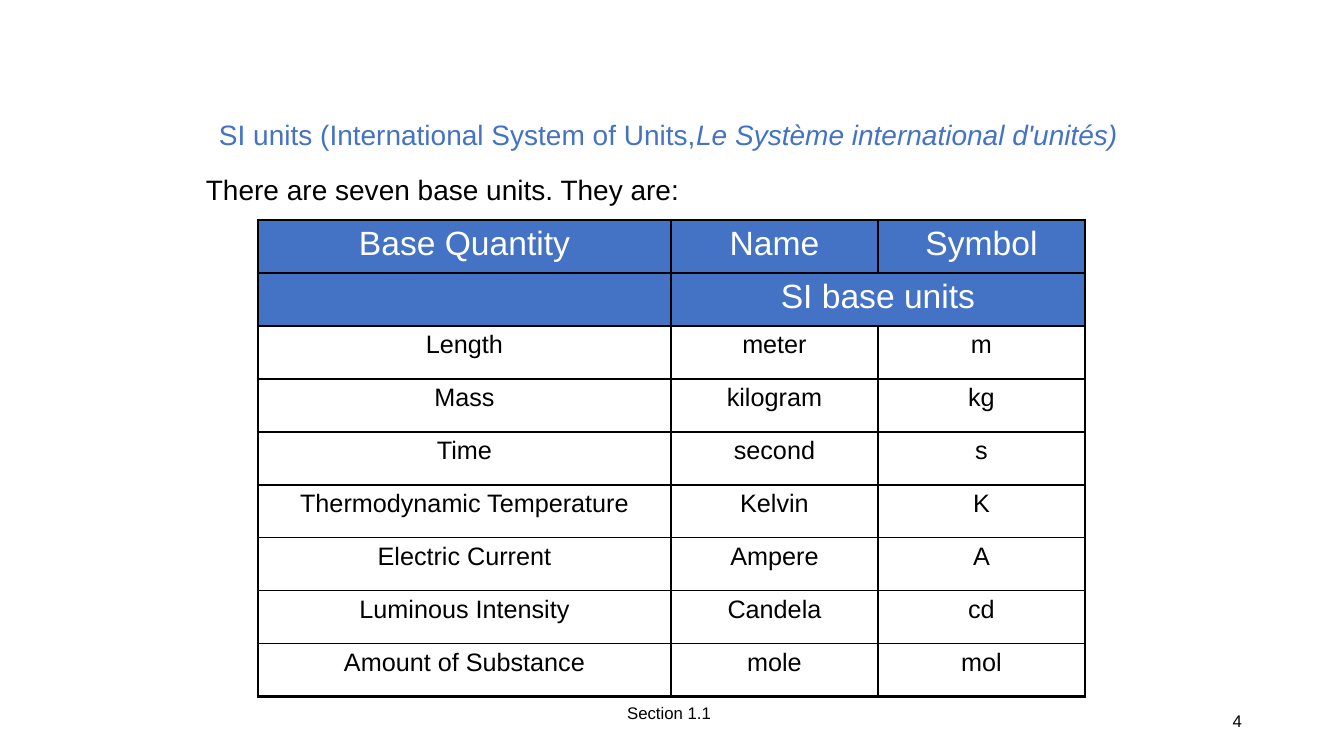
"""Build the slide that lists the seven SI base units."""
from lxml.etree import SubElement
from pptx import Presentation
from pptx.dml.color import RGBColor
from pptx.enum.text import MSO_ANCHOR, MSO_AUTO_SIZE, PP_ALIGN
from pptx.oxml.ns import qn
from pptx.util import Emu, Pt

FONT, BLACK, WHITE, BLUE = "Arial", "000000", "FFFFFF", "4472C4"
TITLE = ("SI units (International System of Units,", "Le Système international d'unités)")
TITLE_BOX = (219, 101, 907, 67)
LABELS = [
    ("Section 1.1", (562, 698, 159, 30), 12, PP_ALIGN.RIGHT, MSO_ANCHOR.TOP, True),
    ("4", (950, 701, 302, 40), 12, PP_ALIGN.RIGHT, MSO_ANCHOR.MIDDLE, True),
    ("There are seven base units. They are:", (196, 168, 497, 44), 20,
     PP_ALIGN.LEFT, MSO_ANCHOR.TOP, False),
]
HEADER_ROWS = 2
UNITS = [
    ("Base Quantity", "Name", "Symbol"),
    ("", "SI base units", ""),
    ("Length", "meter", "m"),
    ("Mass", "kilogram", "kg"),
    ("Time", "second", "s"),
    ("Thermodynamic Temperature", "Kelvin", "K"),
    ("Electric Current", "Ampere", "A"),
    ("Luminous Intensity", "Candela", "cd"),
    ("Amount of Substance", "mole", "mol"),
]
TABLE_LEFT, TABLE_TOP, ROW_HEIGHT = 258, 220, 53
COLUMN_WIDTHS = (413, 207, 207)
THIN, THICK = 1, 2.25


def px(length):
    return Emu(round(length * 914400 / 100.8))


def color(value):
    return RGBColor.from_string(value)


def style(paragraph, size, value, alignment):
    paragraph.alignment = alignment
    for run in paragraph.runs:
        run.font.name = FONT
        run.font.size = Pt(size)
        run.font.color.rgb = color(value)


def add_title(slide):
    title = slide.shapes.title
    title.left, title.top, title.width, title.height = map(px, TITLE_BOX)
    frame = title.text_frame
    frame.auto_size = MSO_AUTO_SIZE.NONE
    frame.vertical_anchor = MSO_ANCHOR.MIDDLE
    frame.margin_left = frame.margin_right = frame.margin_top = frame.margin_bottom = 0
    paragraph = frame.paragraphs[0]
    for text in TITLE:
        paragraph.add_run().text = text
    style(paragraph, 20, BLUE, PP_ALIGN.LEFT)
    paragraph.runs[1].font.italic = True


def add_label(slide, text, box, size, alignment, anchor, wrap):
    frame = slide.shapes.add_textbox(*map(px, box)).text_frame
    frame.word_wrap = wrap
    frame.vertical_anchor = anchor
    frame.text = text
    style(frame.paragraphs[0], size, BLACK, alignment)


def add_borders(cell, widths):
    properties = cell._tc.get_or_add_tcPr()
    for side, width in widths.items():
        line = SubElement(properties, qn(f"a:ln{side}"), w=str(Pt(width)))
        fill = SubElement(line, qn("a:solidFill"))
        SubElement(fill, qn("a:srgbClr"), val=BLACK)


def add_units_table(slide):
    last_row, last_column = len(UNITS) - 1, len(COLUMN_WIDTHS) - 1
    frame = slide.shapes.add_table(
        len(UNITS), len(COLUMN_WIDTHS), px(TABLE_LEFT), px(TABLE_TOP),
        px(sum(COLUMN_WIDTHS)), px(ROW_HEIGHT * len(UNITS)))
    table = frame.table
    table.first_row = table.horz_banding = False
    for column, width in zip(table.columns, COLUMN_WIDTHS):
        column.width = px(width)
    for row in table.rows:
        row.height = px(ROW_HEIGHT)
    table.cell(1, 1).merge(table.cell(1, 2))
    for row, texts in enumerate(UNITS):
        is_header = row < HEADER_ROWS
        for column, text in enumerate(texts):
            cell = table.cell(row, column)
            widths = {
                "L": THIN if column == 1 else THICK,
                "R": THIN if column == 0 else THICK,
                "T": THICK if row == 0 else THIN,
                "B": THICK if row == last_row else THIN,
            }
            if cell.is_spanned:
                del widths["L"]
            add_borders(cell, widths)
            if is_header:
                cell.fill.solid()
                cell.fill.fore_color.rgb = color(BLUE)
            else:
                cell.fill.background()
            if text:
                cell.text_frame.text = text
                style(cell.text_frame.paragraphs[0], 24 if is_header else 18,
                      WHITE if is_header else BLACK, PP_ALIGN.CENTER)


def main():
    presentation = Presentation()
    presentation.slide_width, presentation.slide_height = px(1344), px(756)
    slide = presentation.slides.add_slide(presentation.slide_layouts[5])
    add_units_table(slide)
    for label in LABELS:
        add_label(slide, *label)
    add_title(slide)
    presentation.save("out.pptx")


if __name__ == "__main__":
    main()
